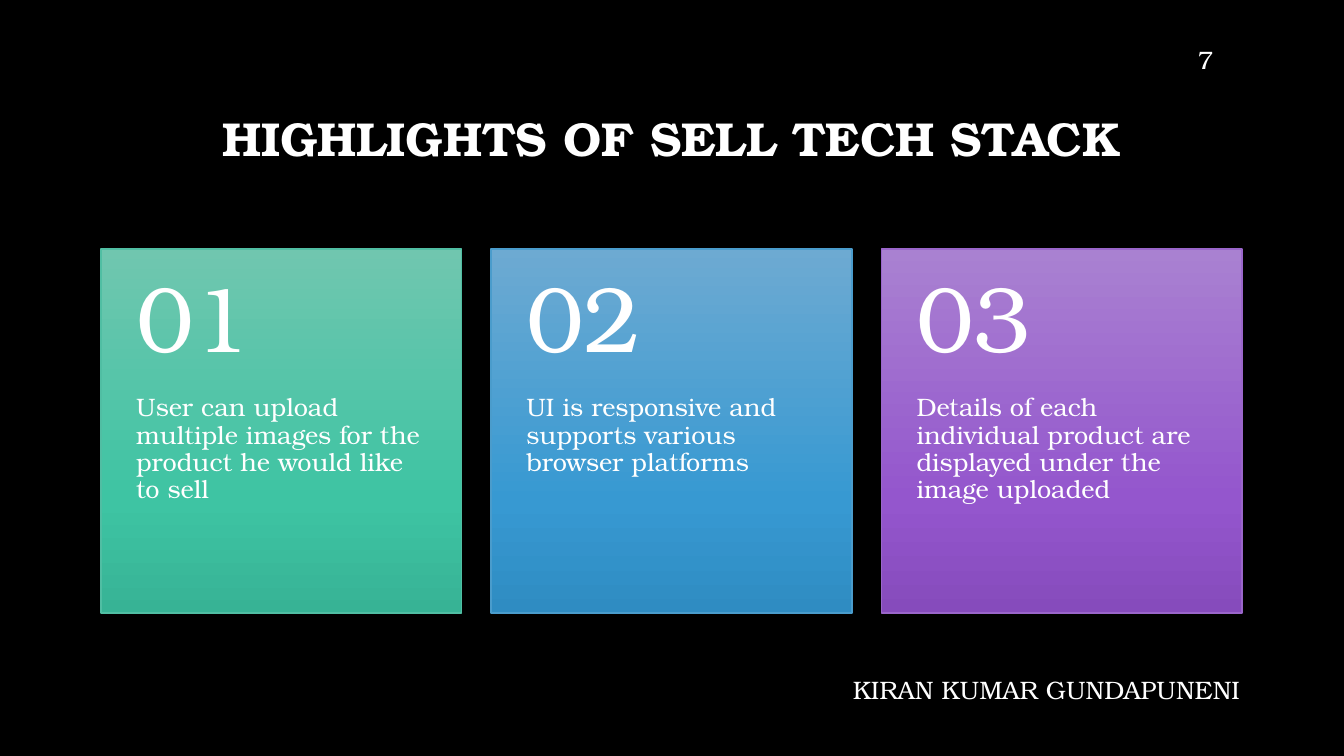
from copy import deepcopy

from pptx import Presentation
from pptx.dml.color import RGBColor
from pptx.enum import shapes, text
from pptx.util import Inches, Pt

FONT = "TeX Gyre Bonum"
BLACK = RGBColor(0x00, 0x00, 0x00)
WHITE = RGBColor(0xFF, 0xFF, 0xFF)

# Gradient colours from top to bottom
GREENS = [RGBColor(0x70, 0xC6, 0xAF), RGBColor(0x3E, 0xC4, 0xA3), RGBColor(0x37, 0xB3, 0x95)]
BLUES = [RGBColor(0x6D, 0xAA, 0xD2), RGBColor(0x37, 0x99, 0xD2), RGBColor(0x2F, 0x8C, 0xC2)]
PURPLES = [RGBColor(0xA9, 0x81, 0xD1), RGBColor(0x94, 0x56, 0xCD), RGBColor(0x86, 0x4B, 0xBC)]
GREEN_EDGE = RGBColor(0x50, 0xBE, 0xA3)
BLUE_EDGE = RGBColor(0x4A, 0x9C, 0xCC)
PURPLE_EDGE = RGBColor(0x9A, 0x66, 0xCA)
STOP_POSITIONS = [0, 0.69, 1]

# Card grid, in inches
CARD_LEFT, CARD_TOP, CARD_STEP = 1, 2.47, 3.87
CARD_WIDTH, CARD_HEIGHT, NUMBER_HEIGHT = 3.58, 3.61, 1.45

HIGHLIGHTS = [
    ("User can upload multiple images for the product he would like to sell", GREENS, GREEN_EDGE),
    ("UI is responsive and supports various browser platforms", BLUES, BLUE_EDGE),
    ("Details of each individual product are displayed under the image uploaded",
     PURPLES, PURPLE_EDGE),
]


def write(shape, wording, size, bold=False, line_spacing=None):
    frame = shape.text_frame
    frame.word_wrap = True
    paragraph = frame.paragraphs[0]
    paragraph.text = wording
    paragraph.line_spacing = line_spacing
    font = paragraph.font
    font.name, font.size, font.bold = FONT, Pt(size), bold
    font.color.rgb = WHITE
    return paragraph


def add_text(slide, wording, left, top, width, height, size, line_spacing=None):
    box = slide.shapes.add_textbox(Inches(left), Inches(top), Inches(width), Inches(height))
    write(box, wording, size, line_spacing=line_spacing)
    return box.text_frame


def set_margins(frame, side, top, bottom):
    frame.margin_left = frame.margin_right = Inches(side)
    frame.margin_top, frame.margin_bottom = Inches(top), Inches(bottom)


def fill_gradient(shape, colors):
    shape.fill.gradient()
    shape.fill.gradient_angle = 270
    # A new gradient has two stops; add the third
    stop_list = shape.fill._fill._gradFill.gsLst
    stop_list.append(deepcopy(stop_list[-1]))
    for stop, position, color in zip(shape.fill.gradient_stops, STOP_POSITIONS, colors):
        stop.position = position
        stop.color.rgb = color


def add_card(slide, index, wording, colors, edge):
    left = CARD_LEFT + index * CARD_STEP
    card = slide.shapes.add_shape(
        shapes.MSO_SHAPE.RECTANGLE,
        Inches(left), Inches(CARD_TOP), Inches(CARD_WIDTH), Inches(CARD_HEIGHT))
    card.shadow.inherit = False
    fill_gradient(card, colors)
    card.line.color.rgb = edge
    card.line.width = Pt(1)

    description = add_text(slide, wording, left, CARD_TOP + NUMBER_HEIGHT, CARD_WIDTH,
                           CARD_HEIGHT - NUMBER_HEIGHT, 18, 0.9)
    set_margins(description, 0.35, 0, 0.36)

    number = add_text(slide, f"{index + 1:02}", left, CARD_TOP, CARD_WIDTH,
                      NUMBER_HEIGHT, 66, 0.9)
    set_margins(number, 0.35, 0.18, 0.18)
    number.vertical_anchor = text.MSO_ANCHOR.MIDDLE


def add_title(slide, wording):
    title = slide.shapes.title
    title.left, title.top = Inches(1), Inches(0.67)
    title.width, title.height = Inches(11.32), Inches(1.45)
    paragraph = write(title, wording, 34, bold=True, line_spacing=0.9)
    paragraph.alignment = text.PP_ALIGN.CENTER
    title.text_frame.vertical_anchor = text.MSO_ANCHOR.MIDDLE


def main():
    presentation = Presentation()
    presentation.slide_width, presentation.slide_height = Inches(13.33), Inches(7.5)
    slide = presentation.slides.add_slide(presentation.slide_layouts[5])
    slide.background.fill.solid()
    slide.background.fill.fore_color.rgb = BLACK

    add_title(slide, "HIGHLIGHTS OF SELL TECH STACK")
    for index, (wording, colors, edge) in enumerate(HIGHLIGHTS):
        add_card(slide, index, wording, colors, edge)

    # Presenter and page number
    add_text(slide, "KIRAN KUMAR GUNDAPUNENI", 8.36, 6.64, 4.63, 0.4, 18)
    add_text(slide, "7", 11.78, 0.39, 0.76, 0.4, 18)
    presentation.save("out.pptx")


if __name__ == "__main__":
    main()
